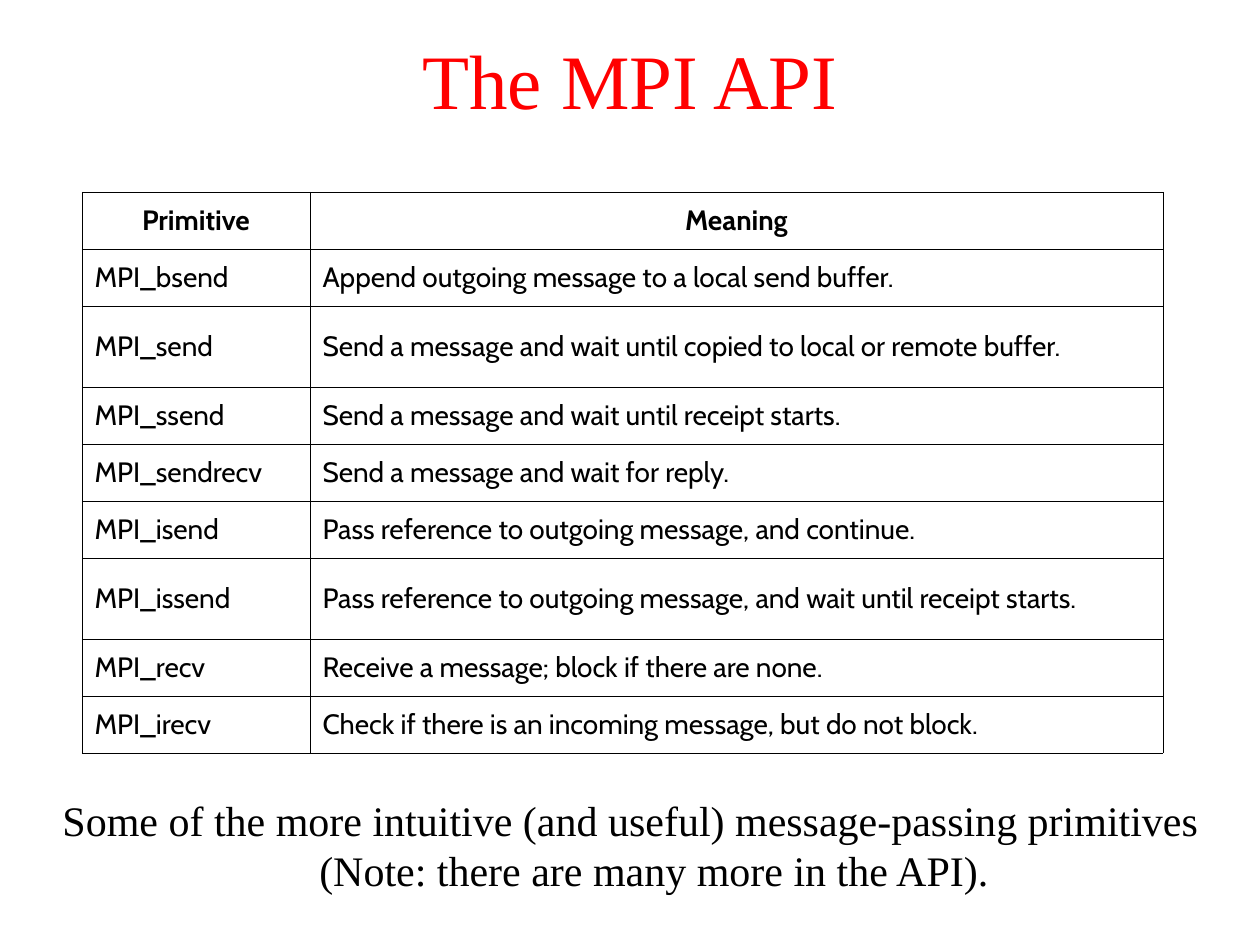
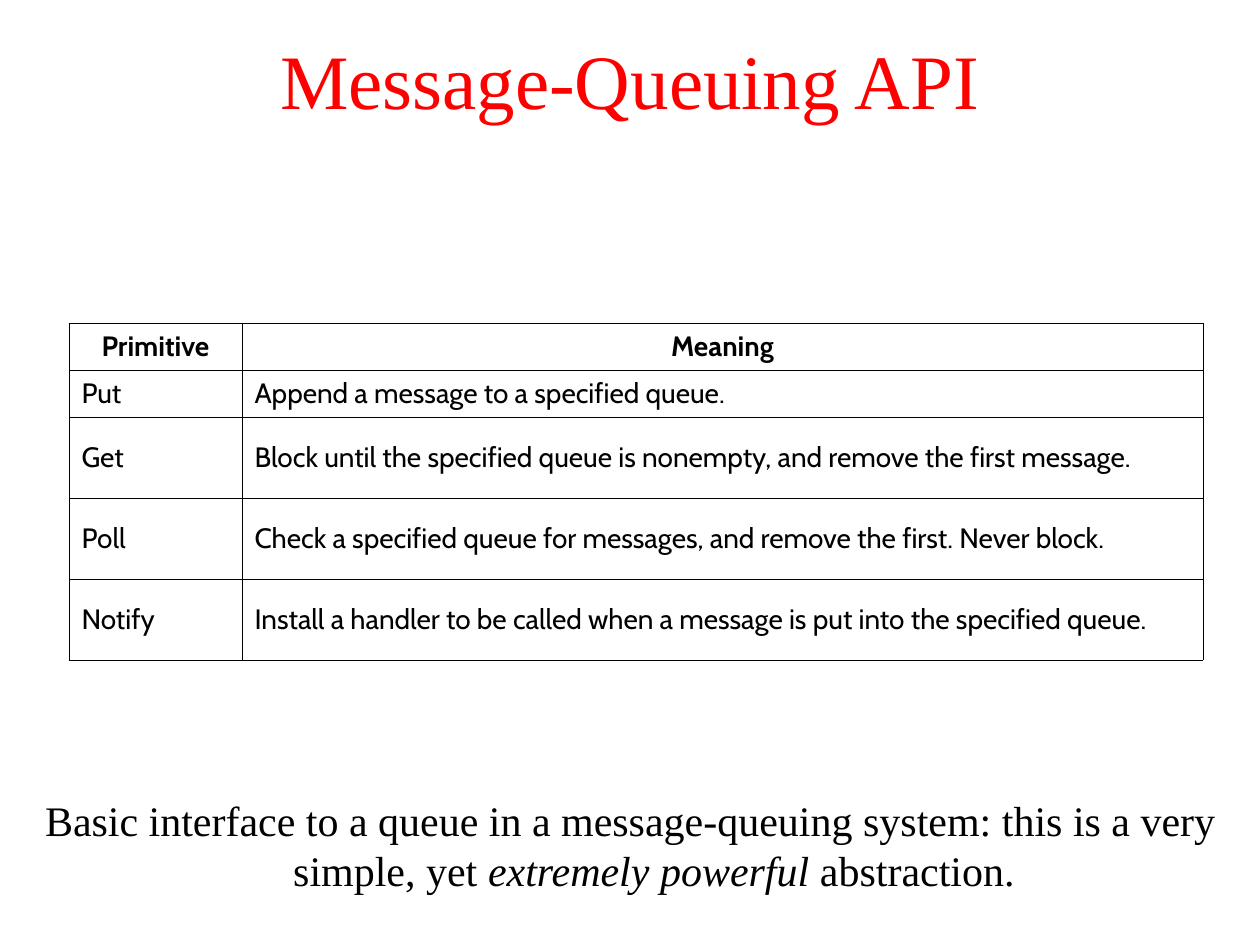
from lxml.etree import SubElement
from pptx import Presentation
from pptx.dml.color import RGBColor
from pptx.enum.text import MSO_ANCHOR, MSO_AUTO_SIZE, PP_ALIGN
from pptx.oxml import parse_xml
from pptx.oxml.ns import nsdecls, qn
from pptx.util import Emu, Pt

# Scale: 126 px to the inch
PX = 914400 / 126


def px(*lengths):
    return [Emu(round(length * PX)) for length in lengths]


# Theme
RED, BLACK = RGBColor(0xFF, 0x00, 0x00), RGBColor(0x00, 0x00, 0x00)
THEME = {
    "title": {"name": "Times New Roman", "size": Pt(44), "color": RED},
    "caption": {"name": "Times New Roman", "size": Pt(24), "color": BLACK},
    "cell": {"name": "Cabin", "size": Pt(16), "color": BLACK, "bold": False},
    "head": {"name": "Cabin", "size": Pt(16), "color": BLACK, "bold": True},
}
TITLE_BOX = dict(zip(("left", "top", "width", "height"), px(0, 0, 1260, 158)))
CAPTION_BOX = dict(zip(("left", "top", "width", "height"), px(0, 788, 1260, 116)))
CAPTION_FRAME = {"vertical_anchor": MSO_ANCHOR.TOP, "auto_size": MSO_AUTO_SIZE.NONE}
TITLE_FRAME = {"vertical_anchor": MSO_ANCHOR.MIDDLE, "auto_size": MSO_AUTO_SIZE.NONE}
CAPTION_PARA = {"alignment": PP_ALIGN.CENTER, "space_before": Pt(6)}
CELL_PARA = {"space_before": Pt(4), "line_spacing": 1.01}
PLAIN_TABLE = {"first_row": False, "horz_banding": False}
BORDER = ('<a:{side} {ns} w="{width}"><a:solidFill><a:srgbClr val="{color}"/>'
          '</a:solidFill></a:{side}>')
BORDER_WIDTH = Pt(0.06)


def apply(target, values):
    for name, value in values.items():
        if name == "color":
            target.color.rgb = value
        else:
            setattr(target, name, value)


# Content: caption spans are (text, italic)
HEADINGS = ("Primitive", "Meaning")
PAGES = [
    {
        "title": "The MPI API",
        "caption": [("Some of the more intuitive (and useful) message-passing primitives "
                     "(Note: there are many more in the API).", False)],
        "corner": (82, 192),
        "columns": (228, 853),
        "short_row": 57,
        "tall_rows": (2, 6),
        "rows": [
            ("MPI_bsend", "Append outgoing message to a local send buffer."),
            ("MPI_send", "Send a message and wait until copied to local or remote buffer."),
            ("MPI_ssend", "Send a message and wait until receipt starts."),
            ("MPI_sendrecv", "Send a message and wait for reply."),
            ("MPI_isend", "Pass reference to outgoing message, and continue."),
            ("MPI_issend", "Pass reference to outgoing message, and wait until receipt starts."),
            ("MPI_recv", "Receive a message; block if there are none."),
            ("MPI_irecv", "Check if there is an incoming message, but do not block."),
        ],
    },
    {
        "title": "Message-Queuing API",
        "caption": [("Basic interface to a queue in a message-queuing system: "
                     "this is a very simple, yet ", False),
                    ("extremely powerful", True),
                    (" abstraction.", False)],
        "corner": (69, 323),
        "columns": (173, 961),
        "short_row": 47,
        "tall_rows": (2, 3, 4),
        "rows": [
            ("Put", "Append a message to a specified queue."),
            ("Get", "Block until the specified queue is nonempty, and remove the first message."),
            ("Poll", "Check a specified queue for messages, and remove the first. Never block."),
            ("Notify", "Install a handler to be called when a message is put into "
                       "the specified queue."),
        ],
    },
]
TALL_ROW = 81

deck = Presentation()
deck.slide_width, deck.slide_height = px(1260, 945)

for content in PAGES:
    page = deck.slides.add_slide(deck.slide_layouts[1])

    # Title
    title = page.shapes.title
    apply(title, TITLE_BOX)
    apply(title.text_frame, TITLE_FRAME)
    para = title.text_frame.paragraphs[0]
    para.alignment = PP_ALIGN.CENTER
    span = para.add_run()
    span.text = content["title"]
    apply(span.font, THEME["title"])

    # Caption with hanging indent and no bullet
    caption = page.placeholders[1]
    apply(caption, CAPTION_BOX)
    apply(caption.text_frame, CAPTION_FRAME)
    para = caption.text_frame.paragraphs[0]
    apply(para, CAPTION_PARA)
    properties = para._p.get_or_add_pPr()
    margin, indent = px(48, -47)
    properties.set("marL", str(margin))
    properties.set("indent", str(indent))
    SubElement(properties, qn("a:buNone"))
    for text, italic in content["caption"]:
        span = para.add_run()
        span.text = text
        apply(span.font, THEME["caption"] | {"italic": italic})

    # Table grid
    rows = [HEADINGS, *content["rows"]]
    heights = [TALL_ROW if number in content["tall_rows"] else content["short_row"]
               for number in range(len(rows))]
    widths = content["columns"]
    frame = page.shapes.add_table(len(rows), len(widths),
                                  *px(*content["corner"], sum(widths), sum(heights)))
    table = frame.table
    apply(table, PLAIN_TABLE)
    for column, width in zip(table.columns, px(*widths)):
        column.width = width
    for row, height in zip(table.rows, px(*heights)):
        row.height = height

    # Table cells
    for row_number, texts in enumerate(rows):
        is_head = row_number == 0
        for column_number, text in enumerate(texts):
            cell = table.cell(row_number, column_number)
            cell.vertical_anchor = MSO_ANCHOR.MIDDLE
            cell.fill.background()
            for position, side in enumerate(("lnL", "lnR", "lnT", "lnB")):
                line = BORDER.format(side=side, ns=nsdecls("a"), width=BORDER_WIDTH, color=BLACK)
                cell._tc.get_or_add_tcPr().insert(position, parse_xml(line))
            para = cell.text_frame.paragraphs[0]
            apply(para, CELL_PARA)
            para.alignment = PP_ALIGN.CENTER if is_head else PP_ALIGN.LEFT
            span = para.add_run()
            span.text = text
            apply(span.font, THEME["head" if is_head else "cell"])

deck.save("out.pptx")
